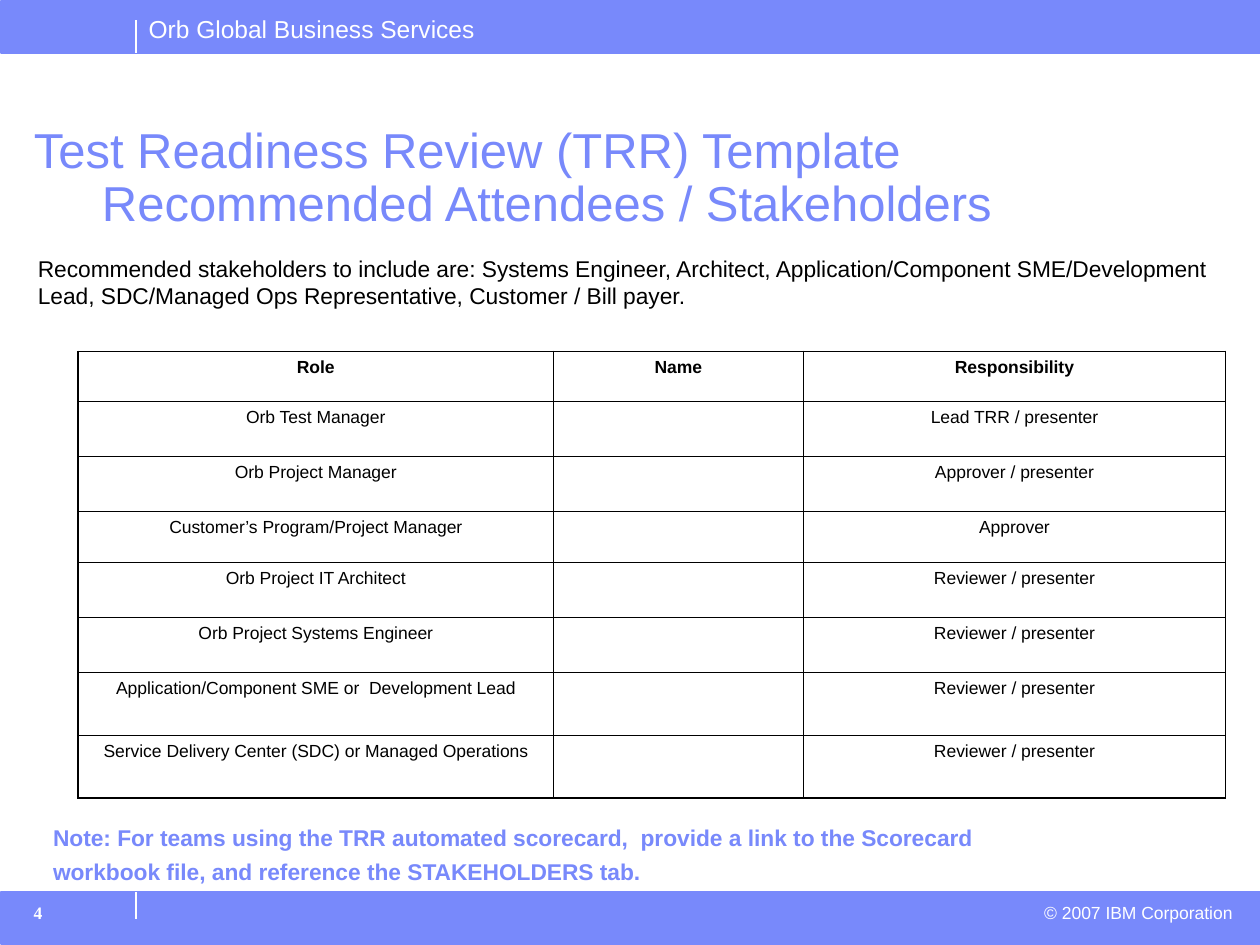
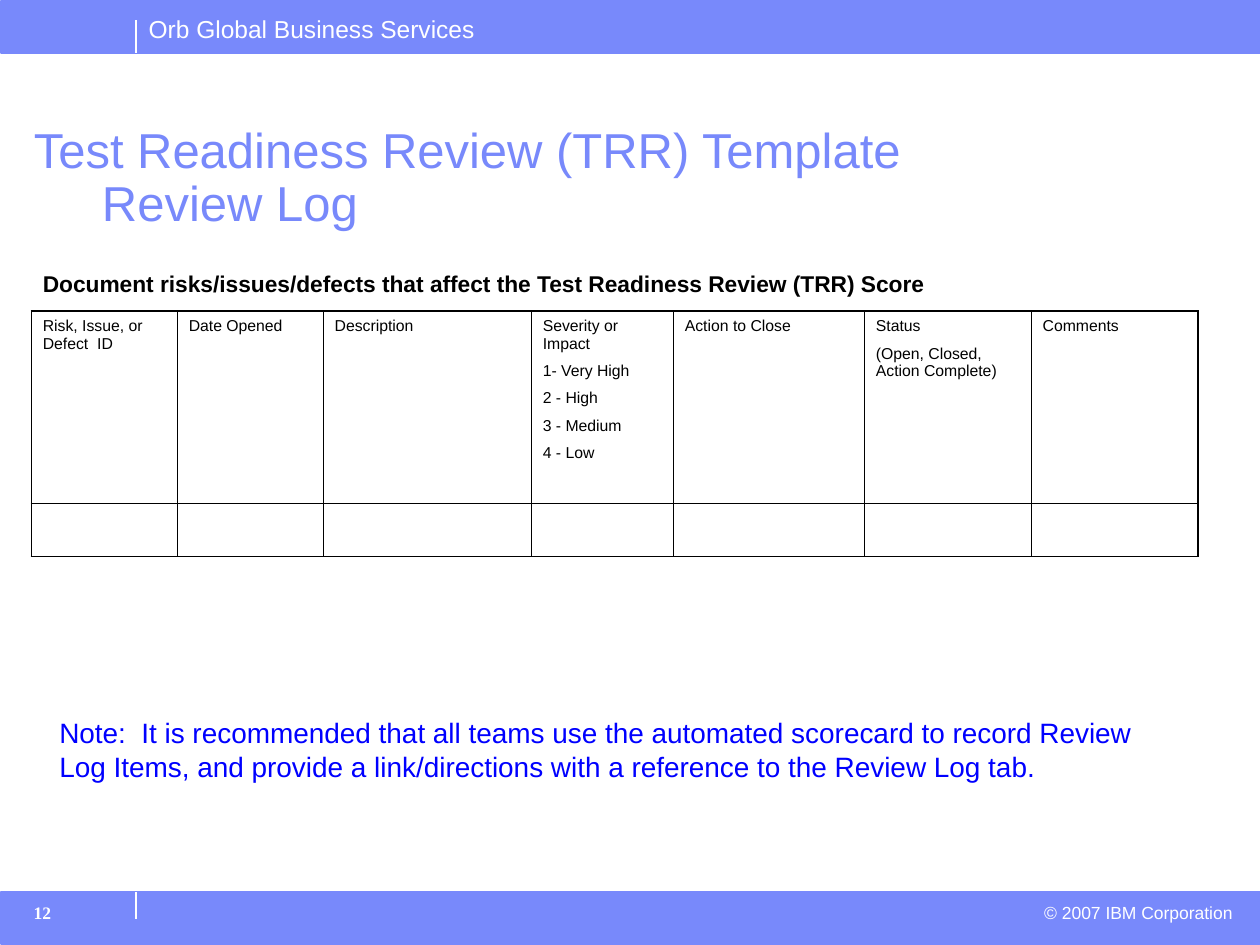
import pptx
import pptx.util
import pptx.dml.color
import pptx.enum.shapes
import pptx.enum.text
import pptx.oxml
import pptx.oxml.ns
from lxml import etree

Pt = pptx.util.Pt
ALIGN = pptx.enum.text.PP_ALIGN

# Shared look
BLUE, WHITE, BLACK, NOTE = "7889FB", "FFFFFF", "000000", "0000FF"
FONT = "Arial"
WIDE, HIGH = 720, 540
BAND = 29.5
BANDS = [0.7, 509.8]
TICKS = [(11.5, 30.2), (509.8, 524.9)]
TICK = 77.8
THICK, THIN = 1.08, 0.45
HEAD = "Test Readiness Review (TRR) Template"
BRAND = "Orb Global Business Services"
RIGHTS = "© 2007 IBM Corporation"

# Content
ROLES = [
    ("Role", "Name", "Responsibility"),
    ("Orb Test Manager", "", "Lead TRR / presenter"),
    ("Orb Project Manager", "", "Approver / presenter"),
    ("Customer’s Program/Project Manager", "", "Approver"),
    ("Orb Project IT Architect", "", "Reviewer / presenter"),
    ("Orb Project Systems Engineer", "", "Reviewer / presenter"),
    ("Application/Component SME or  Development Lead", "", "Reviewer / presenter"),
    ("Service Delivery Center (SDC) or Managed Operations", "", "Reviewer / presenter"),
]
LOG = [
    ("Risk, Issue, or Defect  ID", "Date Opened", "Description",
     "Severity or Impact\n1- Very High\n2 - High\n3 - Medium\n4 - Low",
     "Action to Close", "Status\n(Open, Closed, Action Complete)", "Comments"),
    ("",) * 7,
]
SLIDES = [
    dict(
        sub="Recommended Attendees / Stakeholders", page="4",
        grid=dict(rows=ROLES, at=(44.6, 200.8),
                  cols=[271.6, 142.8, 241.4],
                  highs=[28.6, 31.5, 31.5, 28.6, 31.5, 31.5, 36, 36],
                  size=10, align=ALIGN.CENTER, bold=True, gaps=(4.4, 1.9)),
        texts=[
            dict(box=(15.1, 142.6, 692.6, 37.4), size=13, lines=[
                "Recommended stakeholders to include are: Systems Engineer, Architect, "
                "Application/Component SME/Development Lead, SDC/Managed Ops "
                "Representative, Customer / Bill payer."]),
            dict(box=(23.8, 468, 678.2, 41), size=13, color=BLUE, bold=True,
                 gaps=(3.3, 0), lines=[
                     "Note: For teams using the TRR automated scorecard,  "
                     "provide a link to the Scorecard",
                     "workbook file, and reference the STAKEHOLDERS tab."]),
        ]),
    dict(
        sub="Review Log", page="12",
        grid=dict(rows=LOG, at=(18, 177.8),
                  cols=[83.4, 83.4, 118.9, 81.2, 109.2, 95.3, 95.3],
                  highs=[109.8, 30.4],
                  size=9, align=ALIGN.LEFT, bold=False, gaps=(3.9, 1.6)),
        texts=[
            dict(box=(18, 151.2, 671.8, 41), size=13, bold=True, lines=[
                "Document risks/issues/defects that affect the "
                "Test Readiness Review (TRR) Score"]),
            dict(box=(27.4, 406.1, 655.2, 44.6), size=16, color=NOTE, lines=[
                "Note:  It is recommended that all teams use the automated scorecard "
                "to record Review Log Items, and provide a link/directions with a "
                "reference to the Review Log tab."]),
        ]),
]


def tint(code):
    return pptx.dml.color.RGBColor.from_string(code)


def write(frame, lines, size, color=BLACK, bold=False, align=ALIGN.LEFT,
          font=FONT, gaps=(0, 0)):
    """Fill a text frame, one paragraph a line."""
    for i, line in enumerate(lines):
        para = frame.add_paragraph() if i else frame.paragraphs[0]
        para.alignment = align
        para.space_before = Pt(gaps[0] if i else 0)
        para.space_after = Pt(gaps[1])
        run = para.add_run()
        run.text = line
        run.font.name, run.font.size, run.font.bold = font, Pt(size), bold
        run.font.color.rgb = tint(color)


def inset(frame, side, edge):
    frame.margin_left = frame.margin_right = Pt(side)
    frame.margin_top = frame.margin_bottom = Pt(edge)


def label(slide, box, lines, size, pad=(6.5, 3), **style):
    frame = slide.shapes.add_textbox(*map(Pt, box)).text_frame
    frame.word_wrap = True
    inset(frame, *pad)
    write(frame, lines, size, **style)


def frame_up(slide, page):
    """Bands, ticks, brand line and footer."""
    for top in BANDS:
        band = slide.shapes.add_shape(
            pptx.enum.shapes.MSO_SHAPE.RECTANGLE,
            Pt(0.7), Pt(top), Pt(WIDE - 0.7), Pt(BAND))
        band.shadow.inherit = False
        band.fill.solid()
        band.fill.fore_color.rgb = band.line.color.rgb = tint(BLUE)
        band.line.width = Pt(1)
    for top, end in TICKS:
        tick = slide.shapes.add_connector(
            pptx.enum.shapes.MSO_CONNECTOR.STRAIGHT,
            Pt(TICK), Pt(top), Pt(TICK), Pt(end))
        tick.line.color.rgb, tick.line.width = tint(WHITE), Pt(1)
        etree.SubElement(tick._element.spPr, pptx.oxml.ns.qn("a:effectLst"))
    pad = (7.2, 3.6)
    label(slide, (TICK, 4.3, 240, 24), [BRAND], 14, pad, color=WHITE)
    label(slide, (450.7, 511.9, 260.6, 19.4), [RIGHTS], 10, pad,
          color=WHITE, align=ALIGN.RIGHT)
    label(slide, (12.2, 511.9, 79.2, 25.2), [page], 10, pad,
          color=WHITE, bold=True, font="Times New Roman")


def head(slide, sub):
    title = slide.shapes.title
    title.left, title.top, title.width, title.height = map(
        Pt, (12.2, 68.4, 649.4, 99.4))
    frame = title.text_frame
    frame.word_wrap = True
    frame.auto_size = pptx.enum.text.MSO_AUTO_SIZE.NONE
    frame.vertical_anchor = pptx.enum.text.MSO_ANCHOR.TOP
    inset(frame, 7.2, 3.6)
    write(frame, [HEAD, sub], 28, color=BLUE)
    for para in frame.paragraphs:
        para.line_spacing = 0.9
    frame.paragraphs[1]._p.get_or_add_pPr().set("marL", str(Pt(38.9)))


def edge(cell, side, width):
    line = etree.SubElement(cell._tc.get_or_add_tcPr(),
                            pptx.oxml.ns.qn("a:ln" + side), w=str(Pt(width)))
    fill = etree.SubElement(line, pptx.oxml.ns.qn("a:solidFill"))
    etree.SubElement(fill, pptx.oxml.ns.qn("a:srgbClr"), val=BLACK)


def draw_grid(slide, rows, at, cols, highs, size, align, bold, gaps):
    """Table with a thick outer frame and thin inner lines."""
    table = slide.shapes.add_table(
        len(rows), len(cols), *map(Pt, (*at, sum(cols), sum(highs)))).table
    table.first_row = table.horz_banding = False
    for col, width in zip(table.columns, cols):
        col.width = Pt(width)
    for row, high in zip(table.rows, highs):
        row.height = Pt(high)
    for r, row in enumerate(rows):
        for c, text in enumerate(row):
            cell = table.cell(r, c)
            inset(cell, 6.5, 3.6)
            outer = dict(L=c == 0, R=c == len(cols) - 1,
                         T=r == 0, B=r == len(rows) - 1)
            for side, out in outer.items():
                edge(cell, side, THICK if out else THIN)
            cell.fill.background()
            if text:
                write(cell.text_frame, text.split("\n"), size,
                      bold=bold and r == 0, align=align, gaps=gaps)


def main():
    deck = pptx.Presentation()
    deck.slide_width, deck.slide_height = Pt(WIDE), Pt(HIGH)
    for item in SLIDES:
        slide = deck.slides.add_slide(deck.slide_layouts[5])
        frame_up(slide, item["page"])
        head(slide, item["sub"])
        draw_grid(slide, **item["grid"])
        for text in item["texts"]:
            label(slide, **text)
    deck.save("out.pptx")


if __name__ == "__main__":
    main()
